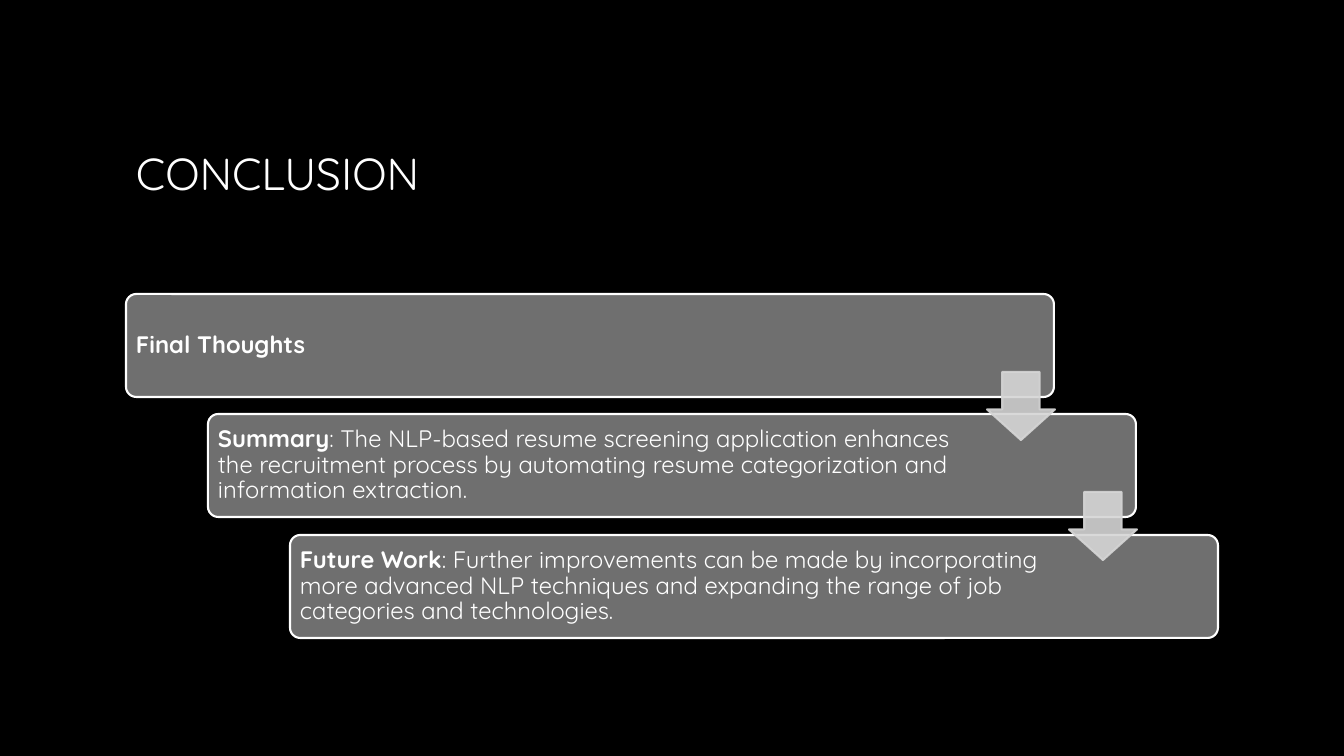
from lxml import etree
from pptx import Presentation
from pptx.dml.color import RGBColor
from pptx.enum.shapes import MSO_SHAPE
from pptx.enum.text import MSO_ANCHOR, PP_ALIGN
from pptx.oxml.ns import qn
from pptx.util import Emu, Pt

ROUNDED = MSO_SHAPE.ROUNDED_RECTANGLE
DOWN_ARROW = MSO_SHAPE.DOWN_ARROW
MIDDLE = MSO_ANCHOR.MIDDLE
LEFT = PP_ALIGN.LEFT

BLACK = RGBColor(0x00, 0x00, 0x00)
WHITE = RGBColor(0xFF, 0xFF, 0xFF)
CARD_GRAY = RGBColor(0x6F, 0x6F, 0x6F)
ARROW_GRAY = RGBColor(0xD5, 0xD5, 0xD5)

FONT = "Quicksand"
EMU_PER_PX = 914400 / 100.8

CARD_LEFT, CARD_TOP = 126, 294
CARD_WIDTH, CARD_HEIGHT = 928, 103
STEP_RIGHT, TWO_STEPS_DOWN = 82, 241
ARROW_LEFT, ARROW_TOP, ARROW_SIZE = 987, 372, 68
TEXT_GAP = 3

STEPS = [
    ("Final Thoughts", "", 817),
    ("Summary", ": The NLP-based resume screening application enhances the "
     "recruitment process by automating resume categorization and "
     "information extraction.", 773),
    ("Future Work", ": Further improvements can be made by incorporating more "
     "advanced NLP techniques and expanding the range of job categories and "
     "technologies.", 773),
]


def px(length):
    return Emu(round(length * EMU_PER_PX))


def stair(left, top, index):
    """Move a position down and right by the given number of steps."""
    return left + STEP_RIGHT * index, top + TWO_STEPS_DOWN * index // 2


class Page:
    def __init__(self, deck):
        self.slide = deck.slides.add_slide(deck.slide_layouts[6])
        background = self.slide.background.fill
        background.solid()
        background.fore_color.rgb = BLACK

    def text(self, left, top, width, height, spans, size, inset, spacing=1.0):
        """Add one paragraph built from (wording, bold) spans."""
        box = self.slide.shapes.add_textbox(px(left), px(top), px(width), px(height))
        frame = box.text_frame
        frame.word_wrap = True
        frame.vertical_anchor = MIDDLE
        frame.margin_left = frame.margin_right = px(inset)
        frame.margin_top = frame.margin_bottom = px(inset)
        para = frame.paragraphs[0]
        para.alignment = LEFT
        para.line_spacing = spacing
        for wording, bold in spans:
            span = para.add_run()
            span.text = wording
            span.font.name = FONT
            span.font.size = Pt(size)
            span.font.bold = bold
            span.font.color.rgb = WHITE

    def shape(self, kind, left, top, width, height, fill, line, adjustments, opacity=100):
        shape = self.slide.shapes.add_shape(kind, px(left), px(top), px(width), px(height))
        shape.shadow.inherit = False
        for index, value in enumerate(adjustments):
            shape.adjustments[index] = value
        shape.fill.solid()
        shape.fill.fore_color.rgb = fill
        shape.line.color.rgb = line
        shape.line.width = Pt(1.5)
        if opacity < 100:
            for color in shape.fill._xPr.iter(qn("a:srgbClr")):
                etree.SubElement(color, qn("a:alpha"), val=str(opacity * 1000))

    def card(self, index, heading, body, text_width):
        left, top = stair(CARD_LEFT, CARD_TOP, index)
        self.shape(ROUNDED, left, top, CARD_WIDTH, CARD_HEIGHT, CARD_GRAY, WHITE, [0.1])
        spans = [(heading, True)]
        if body:
            spans.append((body, False))
        self.text(left + TEXT_GAP, top + TEXT_GAP, text_width,
                  CARD_HEIGHT - 2 * TEXT_GAP, spans, size=17, inset=7, spacing=0.9)

    def arrow(self, index):
        left, top = stair(ARROW_LEFT, ARROW_TOP, index)
        self.shape(DOWN_ARROW, left, top, ARROW_SIZE, ARROW_SIZE,
                   ARROW_GRAY, ARROW_GRAY, [0.55, 0.45], opacity=90)


def main():
    deck = Presentation()
    deck.slide_width, deck.slide_height = px(1344), px(756)
    page = Page(deck)
    page.text(126, 68, 1092, 209, [("CONCLUSION", False)], size=32, inset=10)
    for index, (heading, body, text_width) in enumerate(STEPS):
        page.card(index, heading, body, text_width)
    for index in range(len(STEPS) - 1):
        page.arrow(index)
    deck.save("out.pptx")


if __name__ == "__main__":
    main()
